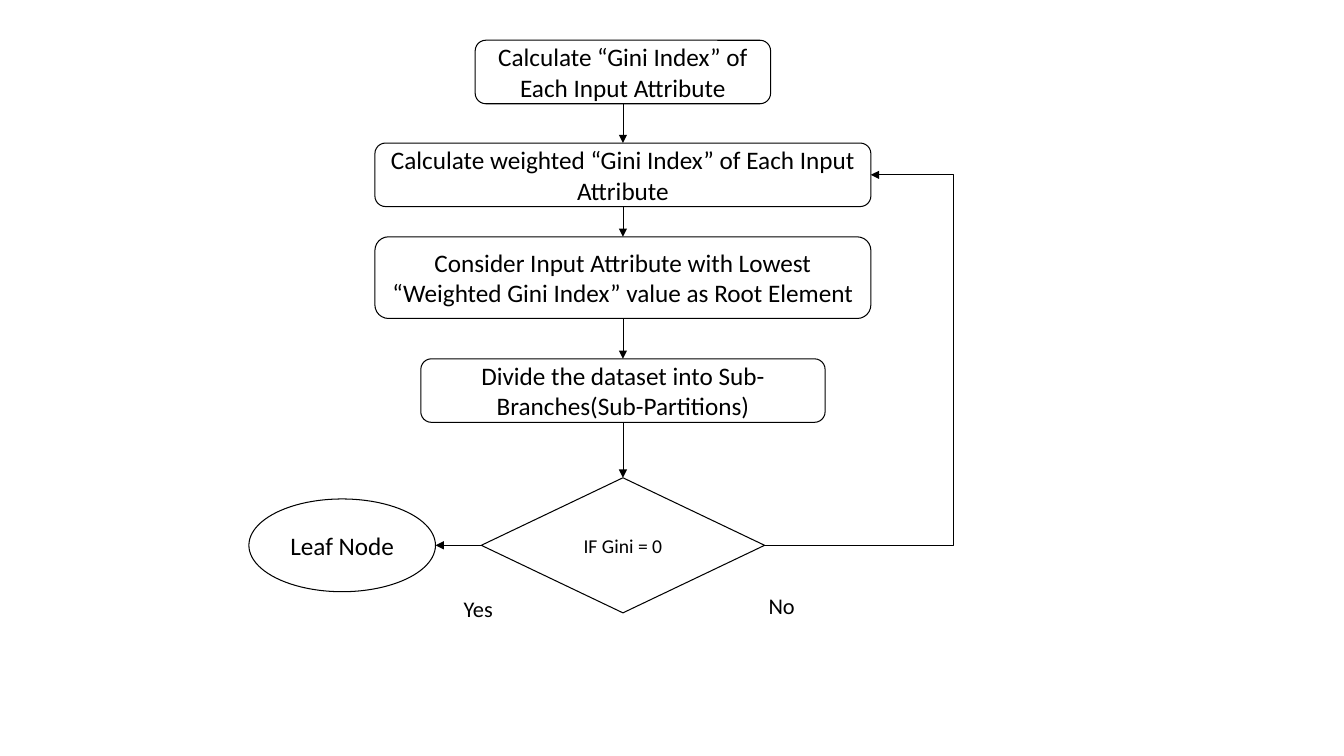
"""Draw the Gini index decision tree flowchart on one slide."""
from typing import NamedTuple

import lxml.etree
import pptx
import pptx.dml.color
import pptx.enum.shapes
import pptx.enum.text
import pptx.oxml.ns
import pptx.util

SHAPE = pptx.enum.shapes.MSO_SHAPE
CONNECTOR = pptx.enum.shapes.MSO_CONNECTOR
TOP, LEFT, BOTTOM, RIGHT = range(4)
WIDTH, HEIGHT = pptx.util.Inches(13.33), pptx.util.Inches(7.5)
INK, FONT = "000000", "Calibri"
SPINE = 46.35
STEP_HEIGHT = 8.4
LOOP_BEND = 177200


class Node(NamedTuple):
    """A captioned item, in percent of the slide's width and height."""
    caption: str
    center: float
    top: float
    width: float
    height: float
    outline: SHAPE = SHAPE.ROUNDED_RECTANGLE
    size: int = 18


STEPS = [
    Node("Calculate “Gini Index” of Each Input Attribute", SPINE, 5.33, 21.98, STEP_HEIGHT),
    Node("Calculate weighted “Gini Index” of Each Input Attribute", SPINE, 18.93, 36.9, STEP_HEIGHT),
    Node("Consider Input Attribute with Lowest “Weighted Gini Index” value as Root Element",
         SPINE, 31.33, 36.9, 10.8),
    Node("Divide the dataset into Sub-Branches(Sub-Partitions)", SPINE, 47.47, 30.08, STEP_HEIGHT),
    Node("IF Gini = 0", SPINE, 63.2, 21.08, 17.87, SHAPE.FLOWCHART_DECISION, 14),
]
LEAF = Node("Leaf Node", 25.46, 66, 13.88, 12.27, SHAPE.OVAL)
ANSWERS = [
    Node("Yes", 35.59, 78, 3.68, 4.93, size=16),
    Node("No", 58.16, 77.73, 3.53, 4.93, size=16),
]


def color(code: str) -> pptx.dml.color.RGBColor:
    """Turn a hex string into a colour."""
    return pptx.dml.color.RGBColor.from_string(code)


def frame(node: Node) -> tuple[int, int, int, int]:
    """Return left, top, width and height of a node in slide units."""
    return (int(WIDTH * (node.center - node.width / 2) / 100), int(HEIGHT * node.top / 100),
            int(WIDTH * node.width / 100), int(HEIGHT * node.height / 100))


def write(box, node: Node) -> None:
    """Set and format the centred caption of a box."""
    box.text_frame.text = node.caption
    para = box.text_frame.paragraphs[0]
    para.alignment = pptx.enum.text.PP_ALIGN.CENTER
    font = para.runs[0].font
    font.name, font.size = FONT, pptx.util.Pt(node.size)
    font.color.rgb = color(INK)


def add_node(page, node: Node):
    """Add an outlined flowchart shape."""
    box = page.shapes.add_shape(node.outline, *frame(node))
    box.shadow.inherit = False
    box.fill.background()
    box.line.color.rgb = color(INK)
    box.line.width = pptx.util.Pt(0.75)
    box.text_frame.word_wrap = True
    box.text_frame.vertical_anchor = pptx.enum.text.MSO_ANCHOR.MIDDLE
    write(box, node)
    return box


def add_answer(page, node: Node) -> None:
    """Add a branch label that fits its text."""
    box = page.shapes.add_textbox(*frame(node))
    box.text_frame.word_wrap = False
    box.text_frame.auto_size = pptx.enum.text.MSO_AUTO_SIZE.SHAPE_TO_FIT_TEXT
    write(box, node)


def site(box, side: int) -> tuple[int, int]:
    """Return the middle of one side of a box."""
    middle, center = box.left + box.width // 2, box.top + box.height // 2
    return {TOP: (middle, box.top), LEFT: (box.left, center),
            BOTTOM: (middle, box.top + box.height), RIGHT: (box.left + box.width, center)}[side]


def add_arrow(page, start, start_side: int, end, end_side: int, kind=CONNECTOR.STRAIGHT):
    """Add an arrow between the sides of two boxes."""
    arrow = page.shapes.add_connector(kind, *site(start, start_side), *site(end, end_side))
    arrow.line.color.rgb = color(INK)
    arrow.line.width = pptx.util.Pt(0.5)
    qn = pptx.oxml.ns.qn
    lxml.etree.SubElement(arrow.line._get_or_add_ln(), qn("a:tailEnd"), type="triangle")
    lxml.etree.SubElement(arrow._element.spPr, qn("a:effectLst"))
    return arrow


def bend(arrow, amount: int) -> None:
    """Move the middle leg of an elbow arrow, in 100000ths of its width."""
    qn = pptx.oxml.ns.qn
    geometry = arrow._element.spPr.find(qn("a:prstGeom"))
    guides = geometry.find(qn("a:avLst"))
    if guides is None:
        guides = lxml.etree.SubElement(geometry, qn("a:avLst"))
    lxml.etree.SubElement(guides, qn("a:gd"), name="adj1", fmla=f"val {amount}")


def main() -> None:
    """Build the slide and save the deck."""
    deck = pptx.Presentation()
    deck.slide_width, deck.slide_height = WIDTH, HEIGHT
    page = deck.slides.add_slide(deck.slide_layouts.get_by_name("Blank"))
    steps = [add_node(page, node) for node in STEPS]
    leaf = add_node(page, LEAF)
    for upper, lower in zip(steps, steps[1:]):
        arrow = add_arrow(page, upper, BOTTOM, lower, TOP)
        arrow.begin_connect(upper, BOTTOM)
        arrow.end_connect(lower, TOP)
    decision, weighting = steps[-1], steps[1]
    add_arrow(page, decision, LEFT, leaf, RIGHT)
    bend(add_arrow(page, decision, RIGHT, weighting, RIGHT, CONNECTOR.ELBOW), LOOP_BEND)
    for answer in ANSWERS:
        add_answer(page, answer)
    deck.save("out.pptx")


main()
